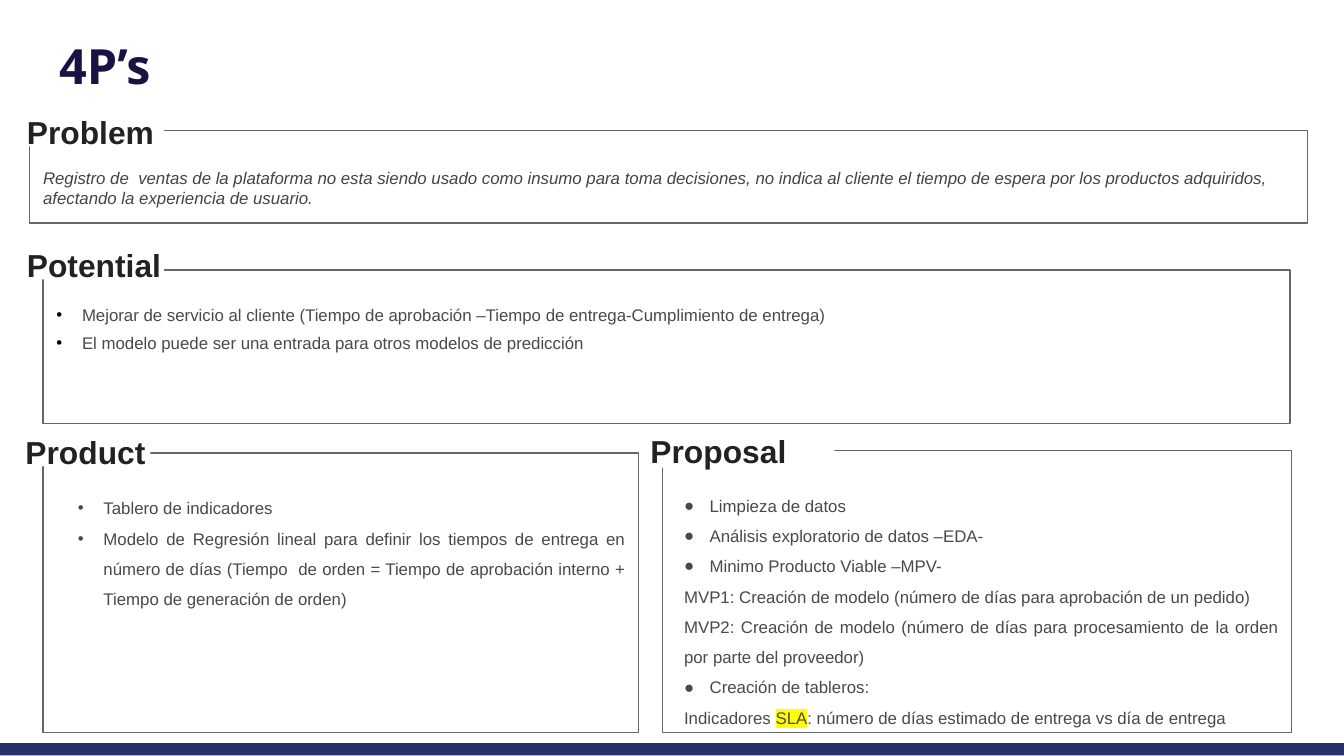
from lxml.etree import SubElement
from pptx import Presentation
from pptx.dml.color import RGBColor
from pptx.enum.shapes import MSO_SHAPE
from pptx.enum.text import MSO_ANCHOR, MSO_AUTO_SIZE, PP_ALIGN
from pptx.oxml.ns import qn
from pptx.util import Inches, Pt

LEFT, JUSTIFY = PP_ALIGN.LEFT, PP_ALIGN.JUSTIFY
DOT = {"bullet": "•", "indent": 0.19}
PRODUCT_ITEM = {"bullet": "•", "indent": 0.35, "spacing": 1.5}
STEP = {"bullet": "●", "indent": 0.25, "spacing": 1.5}
DETAIL = {"indent": 0.06, "spacing": 1.5}

PANELS = [
    {
        "heading": "Problem", "heading_box": (0.17, 0.81, 1.05, 0.28),
        "box": (0.22, 0.97, 9.51, 0.69), "insets": (0.1, 0.26, 0.1, 0.1),
        "anchor": MSO_ANCHOR.MIDDLE,
        "content": [
            ("Registro de  ventas de la plataforma no esta siendo usado como insumo para "
             "toma decisiones, no indica al cliente el tiempo de espera por los productos "
             "adquiridos, afectando la experiencia de usuario.",
             {"color": "434343", "italic": True, "after": 4}),
        ],
    },
    {
        "heading": "Potential", "heading_box": (0.17, 1.8, 1.05, 0.28),
        "box": (0.32, 2.01, 9.28, 1.14), "insets": (0.1, 0.26, 0.16, 0.05),
        "content": [
            ("Mejorar de servicio al cliente (Tiempo de aprobación –Tiempo de "
             "entrega-Cumplimiento de entrega)",
             {**DOT, "bullet_color": "000000", "after": 4}),
            ("El modelo puede ser una entrada para otros modelos de predicción",
             {**DOT, "bullet_color": "000000", "after": 4}),
        ],
    },
    {
        "heading": "Product", "heading_box": (0.16, 3.19, 0.96, 0.28),
        "box": (0.32, 3.37, 4.43, 2.08), "insets": (0.1, 0.26, 0.1, 0.1),
        "content": [
            ("Tablero de indicadores", PRODUCT_ITEM),
            ("Modelo de Regresión lineal para definir los tiempos de entrega en número "
             "de días (Tiempo  de orden = Tiempo de aprobación interno + Tiempo de "
             "generación de orden)", {**PRODUCT_ITEM, "align": JUSTIFY}),
        ],
    },
    {
        "heading": "Proposal", "heading_box": (4.81, 3.18, 1.4, 0.3),
        "box": (4.93, 3.35, 4.68, 2.1), "insets": (0.1, 0.26, 0.1, 0.1),
        "content": [
            ("Limpieza de datos", STEP),
            ("Análisis exploratorio de datos –EDA-", {**STEP, "align": JUSTIFY}),
            ("Minimo Producto Viable –MPV-", {**STEP, "align": JUSTIFY}),
            ("MVP1: Creación de modelo (número de días para aprobación de un pedido)",
             {**DETAIL, "align": JUSTIFY}),
            ("MVP2: Creación de modelo (número de días para procesamiento de la orden "
             "por parte del proveedor)", {**DETAIL, "align": JUSTIFY}),
            ("Creación de tableros:", STEP),
            ("Indicadores SLA: número de días estimado de entrega vs día de entrega",
             {**DETAIL, "marked": "SLA"}),
        ],
    },
]


def rgb(color):
    return RGBColor.from_string(color)


def place(part, box):
    part.left, part.top, part.width, part.height = map(Inches, box)


def set_frame(part, insets, anchor=MSO_ANCHOR.TOP, auto_size=MSO_AUTO_SIZE.NONE):
    frame = part.text_frame
    frame.word_wrap = True
    frame.auto_size = auto_size
    frame.vertical_anchor = anchor
    (frame.margin_left, frame.margin_top,
     frame.margin_right, frame.margin_bottom) = map(Inches, insets)
    return frame


def write(paragraph, text, size=9, font="Arial", color="494949", bold=False,
          italic=False, align=LEFT, spacing=1.0, after=0, indent=0, bullet=None,
          bullet_color="494949", marked=None):
    paragraph.alignment = align
    paragraph.line_spacing = spacing
    paragraph.space_before = Pt(0)
    paragraph.space_after = Pt(after)
    properties = paragraph._p.get_or_add_pPr()
    properties.set("marL", str(Inches(indent)))
    properties.set("indent", str(Inches(-0.19 if bullet else 0)))
    if bullet:
        tint = SubElement(properties, qn("a:buClr"))
        SubElement(tint, qn("a:srgbClr"), val=bullet_color)
        SubElement(properties, qn("a:buFont"), typeface="Arial")
        SubElement(properties, qn("a:buChar"), char=bullet)
    else:
        SubElement(properties, qn("a:buNone"))

    before, found, rest = text.partition(marked) if marked else (text, "", "")
    for words in filter(None, (before, found, rest)):
        run = paragraph.add_run()
        run.text = words
        run.font.size = Pt(size)
        run.font.bold = bold
        run.font.italic = italic
        run.font.color.rgb = rgb(color)
        if words == marked:
            highlight = SubElement(run._r.get_or_add_rPr(), qn("a:highlight"))
            SubElement(highlight, qn("a:srgbClr"), val="FFFF00")
        run.font.name = font


def add_block(slide, box, fill):
    block = slide.shapes.add_shape(MSO_SHAPE.RECTANGLE, *map(Inches, box))
    block.shadow.inherit = False
    block.fill.solid()
    block.fill.fore_color.rgb = rgb(fill)
    block.line.fill.background()
    return block


def add_panel(slide, body, panel):
    place(body, panel["box"])
    body.line.color.rgb = rgb("666666")
    body.line.width = Pt(0.75)
    frame = set_frame(body, panel["insets"], panel.get("anchor", MSO_ANCHOR.TOP))
    for position, (text, style) in enumerate(panel["content"]):
        paragraph = frame.add_paragraph() if position else frame.paragraphs[0]
        write(paragraph, text, **style)

    heading = add_block(slide, panel["heading_box"], "FFFFFF")
    frame = set_frame(heading, (0.03, 0.03, 0, 0.03))
    write(frame.paragraphs[0], panel["heading"], size=17, color="222222", bold=True)


def main():
    deck = Presentation()
    deck.slide_width = Inches(10)
    deck.slide_height = deck.slide_width * 9 // 16
    comparison_layout = deck.slide_layouts[4]
    slide = deck.slides.add_slide(comparison_layout)

    title, *bodies = slide.placeholders
    place(title, (0.34, 0.17, 6.58, 0.64))
    frame = set_frame(title, [0.1] * 4, auto_size=MSO_AUTO_SIZE.SHAPE_TO_FIT_TEXT)
    write(frame.paragraphs[0], "4P’s", size=26, font="Open Sans", color="191345", bold=True)

    for body, panel in zip(bodies, PANELS):
        add_panel(slide, body, panel)
    add_block(slide, (-0.11, 5.53, 10.22, 0.09), "263169")
    deck.save("out.pptx")


if __name__ == "__main__":
    main()
